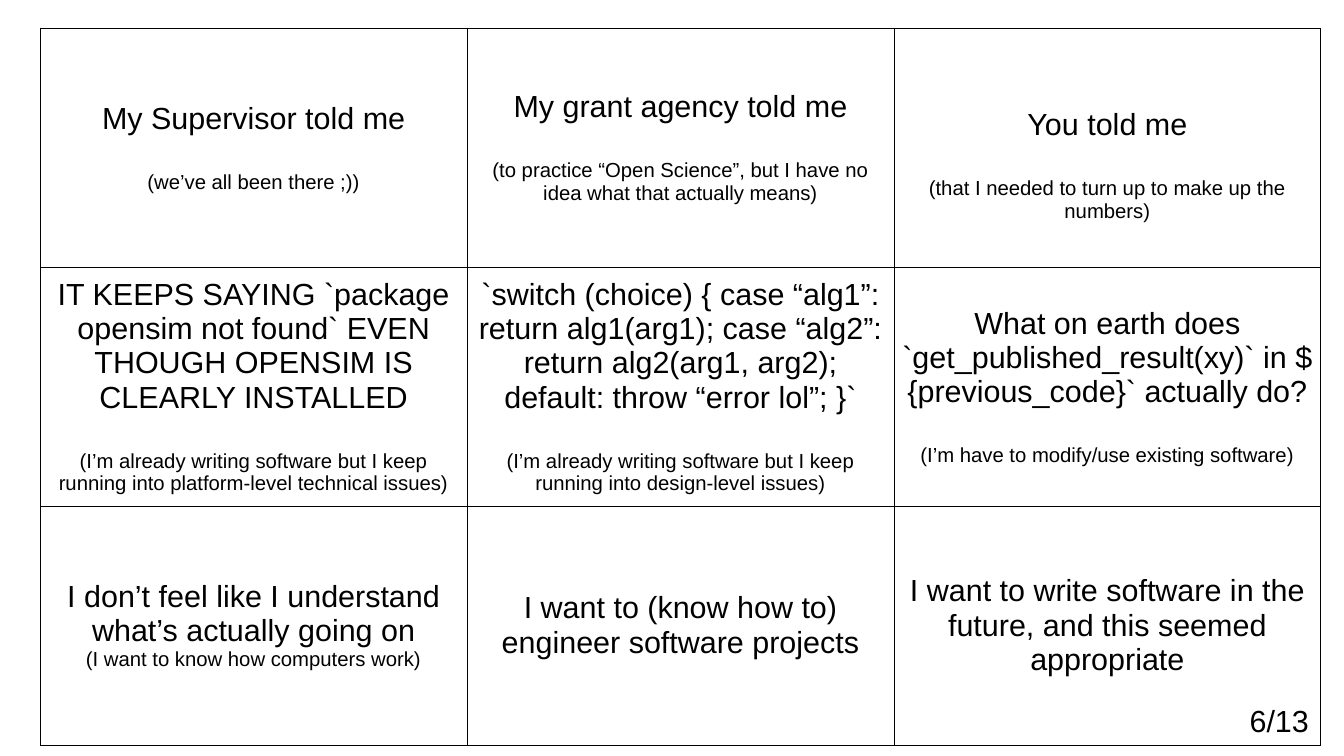
from lxml import etree
from pptx import Presentation
from pptx import util as u
from pptx.dml.color import RGBColor
from pptx.enum import text
from pptx.oxml.ns import qn

COLORS = {"ink": "000000", "paper": "FFFFFF"}
REASONS = [
    [
        ("My Supervisor told me", "(we’ve all been there ;))"),
        ("My grant agency told me",
         "(to practice “Open Science”, but I have no idea what that actually means)"),
        ("You told me", "(that I needed to turn up to make up the numbers)"),
    ],
    [
        ("IT KEEPS SAYING `package opensim not found` EVEN THOUGH OPENSIM IS CLEARLY INSTALLED",
         "(I’m already writing software but I keep running into platform-level technical issues)"),
        ("`switch (choice) { case “alg1”: return alg1(arg1); case “alg2”: "
         "return alg2(arg1, arg2); default: throw “error lol”; }`",
         "(I’m already writing software but I keep running into design-level issues)"),
        ("What on earth does `get_published_result(xy)` in ${previous_code}` actually do?",
         "(I’m have to modify/use existing software)"),
    ],
    [
        ("I don’t feel like I understand what’s actually going on",
         "(I want to know how computers work)"),
        ("I want to (know how to) engineer software projects",),
        ("I want to write software in the future, and this seemed appropriate",),
    ],
]


class SlideBuilder:
    """Holds the text style and the current slide."""

    font = "Arial"
    heading_size = 18
    note_size = 12
    note_gap = 20.7
    border_width = 0.57

    def __init__(self, presentation):
        self.slide = presentation.slides.add_slide(presentation.slide_layouts[6])
        self.slide.background.fill.solid()
        self.slide.background.fill.fore_color.rgb = RGBColor.from_string(COLORS["paper"])

    def format_paragraph(self, paragraph, size, alignment):
        paragraph.alignment = alignment
        for run in paragraph.runs:
            run.font.name = self.font
            run.font.size = u.Pt(size)
            run.font.color.rgb = RGBColor.from_string(COLORS["ink"])

    def border_cell(self, cell):
        properties = cell._tc.get_or_add_tcPr()
        for index, side in enumerate(("lnL", "lnR", "lnT", "lnB")):
            line = etree.Element(qn(f"a:{side}"), w=str(u.Pt(self.border_width)))
            fill = etree.SubElement(line, qn("a:solidFill"))
            etree.SubElement(fill, qn("a:srgbClr"), val=COLORS["ink"])
            properties.insert(index, line)

    def fill_cell(self, cell, lines, gap):
        cell.fill.background()
        self.border_cell(cell)
        cell.vertical_anchor = text.MSO_ANCHOR.MIDDLE
        cell.margin_left = cell.margin_right = u.Inches(0.04)
        cell.margin_top = cell.margin_bottom = u.Inches(0.05)
        cell.text_frame.text = "\n".join(lines)
        sizes = (self.heading_size, self.note_size)
        for paragraph, size in zip(cell.text_frame.paragraphs, sizes):
            self.format_paragraph(paragraph, size, text.PP_ALIGN.CENTER)
        if len(lines) > 1:
            cell.text_frame.paragraphs[1].space_before = u.Pt(gap)

    def add_grid(self, rows, left, top, width, height):
        frame = self.slide.shapes.add_table(
            len(rows), len(rows[0]),
            u.Inches(left), u.Inches(top), u.Inches(width), u.Inches(height))
        table = frame.table
        table.first_row = table.horz_banding = False
        for row_index, row in enumerate(rows):
            gap = 0 if row_index == len(rows) - 1 else self.note_gap
            for column_index, lines in enumerate(row):
                self.fill_cell(table.cell(row_index, column_index), lines, gap)
        return table

    def add_page_number(self, label, left, top, width, height):
        box = self.slide.shapes.add_textbox(
            u.Inches(left), u.Inches(top), u.Inches(width), u.Inches(height))
        box.text_frame.word_wrap = True
        box.text_frame.text = label
        self.format_paragraph(
            box.text_frame.paragraphs[0], self.heading_size, text.PP_ALIGN.RIGHT)


def main():
    presentation = Presentation()
    presentation.slide_width = u.Inches(11.02)
    presentation.slide_height = u.Inches(6.2)
    builder = SlideBuilder(presentation)
    table = builder.add_grid(REASONS, 0.33, 0.23, 10.5, 5.88)
    table.cell(0, 2).margin_top = u.Inches(0.34)
    builder.add_page_number("6/13", 10.04, 5.71, 0.79, 0.4)
    presentation.save("out.pptx")


if __name__ == "__main__":
    main()
